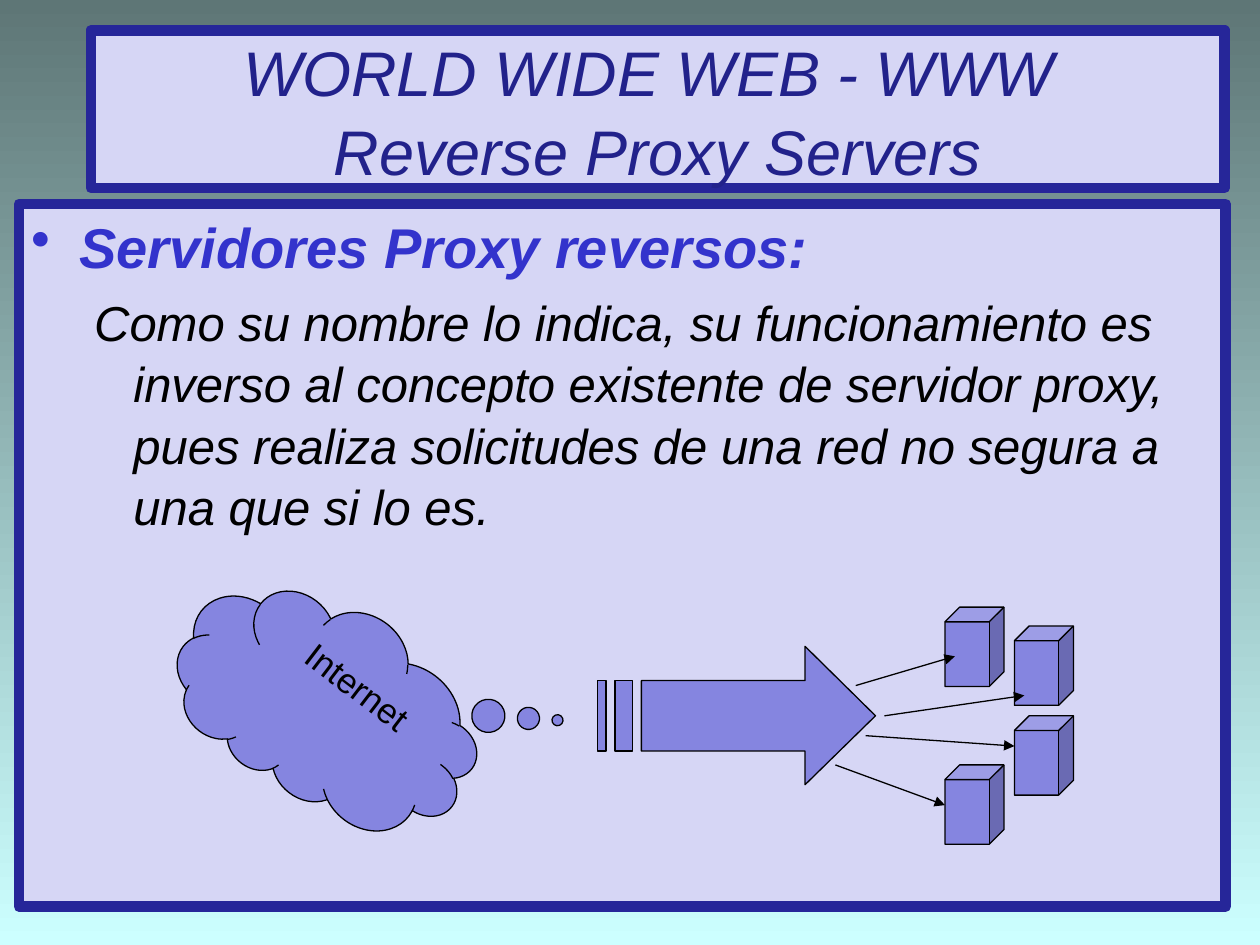
from lxml import etree
from pptx import Presentation
from pptx.dml.color import RGBColor
from pptx.enum.shapes import MSO_CONNECTOR, MSO_SHAPE
from pptx.enum.text import MSO_ANCHOR, MSO_AUTO_SIZE, PP_ALIGN
from pptx.oxml.ns import qn
from pptx.util import Cm, Pt

RECT, CUBE, CLOUD = MSO_SHAPE.RECTANGLE, MSO_SHAPE.CUBE, MSO_SHAPE.CLOUD_CALLOUT
STRAIGHT = MSO_CONNECTOR.STRAIGHT
CENTER, LEFT = PP_ALIGN.CENTER, PP_ALIGN.LEFT
TOP, MIDDLE = MSO_ANCHOR.TOP, MSO_ANCHOR.MIDDLE
NO_AUTOFIT = MSO_AUTO_SIZE.NONE
PANEL, FRAME, SHAPE_FILL, BLACK = "D6D6F5", "262699", "8585E0", "000000"


def paint(sp, fill, line, width):
    sp.fill.solid()
    sp.fill.fore_color.rgb = RGBColor.from_string(fill)
    sp.line.color.rgb = RGBColor.from_string(line)
    sp.line.width = Pt(width)
    if not sp.is_placeholder:
        sp.shadow.inherit = False


def style(p, size, color, align, bold=False, italic=True):
    p.alignment = align
    for r in p.runs:
        r.font.name, r.font.size = "Arial", Pt(size)
        r.font.bold, r.font.italic = bold, italic
        r.font.color.rgb = RGBColor.from_string(color)


prs = Presentation()
prs.slide_width, prs.slide_height = Cm(25.4), Cm(19.05)
s = prs.slides.add_slide(prs.slide_layouts[5])

# Background gradient, dark at the top
bg = s.background.fill
bg.gradient()
bg.gradient_angle = 270
for stop, color, position in zip(bg.gradient_stops, ("5E7676", "CCFFFF"), (0, 1)):
    stop.color.rgb = RGBColor.from_string(color)
    stop.position = position

# Title
title = s.shapes.title
title.left, title.top, title.width, title.height = Cm(1.83), Cm(0.61), Cm(22.86), Cm(3.18)
paint(title, PANEL, FRAME, 6)
tf = title.text_frame
tf.text = "WORLD WIDE WEB - WWW \vReverse Proxy Servers"
tf.auto_size, tf.vertical_anchor = NO_AUTOFIT, MIDDLE
p = tf.paragraphs[0]
style(p, 36, "22228B", CENTER)
p.line_spacing = 1.05

# Body panel
body = s.shapes.add_shape(RECT, Cm(0.38), Cm(4.11), Cm(24.33), Cm(14.17))
paint(body, PANEL, FRAME, 6)
tf = body.text_frame
tf.word_wrap, tf.vertical_anchor = True, TOP
tf.text = (
    "Servidores Proxy reversos:\n"
    "Como su nombre lo indica, su funcionamiento es inverso al concepto existente "
    "de servidor proxy, pues realiza solicitudes de una red no segura a una que si lo es."
)
heading, text = tf.paragraphs
for p, margin, indent in ((heading, 0.97, -0.97), (text, 2.06, -0.79)):
    pPr = p._p.get_or_add_pPr()
    pPr.set("marL", str(Cm(margin)))
    pPr.set("indent", str(Cm(indent)))
    p.line_spacing = 1.04
etree.SubElement(heading._p.pPr, qn("a:buChar")).set("char", "•")
text.level = 1
text.space_before = Pt(6)
style(heading, 32, "3333CC", LEFT, bold=True)
style(text, 28, BLACK, LEFT)

# Diagram: striped arrow
diagram = s.shapes.add_group_shape().shapes
head = [(16.23, 13.03), (16.23, 13.72), (12.93, 13.72), (12.93, 15.14),
        (16.23, 15.14), (16.23, 15.82), (17.65, 14.43)]
stripes = [[(x1, 13.72), (x1, 15.14), (x2, 15.14), (x2, 13.72)]
           for x1, x2 in ((12.4, 12.75), (12.04, 12.22))]
builder = diagram.build_freeform(Cm(head[0][0]), Cm(head[0][1]))
for outline in [head] + stripes:
    points = [(Cm(x), Cm(y)) for x, y in outline]
    if outline is not head:
        builder.move_to(*points[0])
    builder.add_line_segments(points[1:], close=True)
paint(builder.convert_to_shape(), SHAPE_FILL, BLACK, 0.75)

# Diagram: Internet cloud, with its text turned back upright
cloud = diagram.add_shape(CLOUD, Cm(3.43), Cm(12.22), Cm(6.4), Cm(4.01))
cloud.rotation = 217.4
cloud.adjustments[0], cloud.adjustments[1] = -0.6, 0.64
paint(cloud, SHAPE_FILL, BLACK, 0.75)
tf = cloud.text_frame
tf.text = "Internet"
tf.word_wrap, tf.vertical_anchor = True, TOP
tf._txBody.bodyPr.set("rot", str(180 * 60000))
style(tf.paragraphs[0], 20, BLACK, CENTER, italic=False)

# Diagram: servers
for x, y in ((19.05, 12.24), (20.45, 12.62), (20.45, 14.43), (19.05, 15.42)):
    server = diagram.add_shape(CUBE, Cm(x), Cm(y), Cm(1.19), Cm(1.6))
    server.adjustments[0] = 0.25
    paint(server, SHAPE_FILL, BLACK, 0.75)

# Diagram: arrows to the servers
for x1, y1, x2, y2 in (
    (17.25, 13.82, 19.25, 13.23),
    (17.83, 14.43, 20.65, 14.02),
    (17.45, 14.83, 20.45, 15.04),
    (16.84, 15.42, 19.05, 16.23),
):
    arrow = diagram.add_connector(STRAIGHT, Cm(x1), Cm(y1), Cm(x2), Cm(y2))
    arrow.line.color.rgb = RGBColor.from_string(BLACK)
    arrow.line.width = Pt(0.75)
    etree.SubElement(arrow.line._get_or_add_ln(), qn("a:tailEnd")).set("type", "triangle")
    etree.SubElement(arrow._element.spPr, qn("a:effectLst"))

prs.save("out.pptx")
